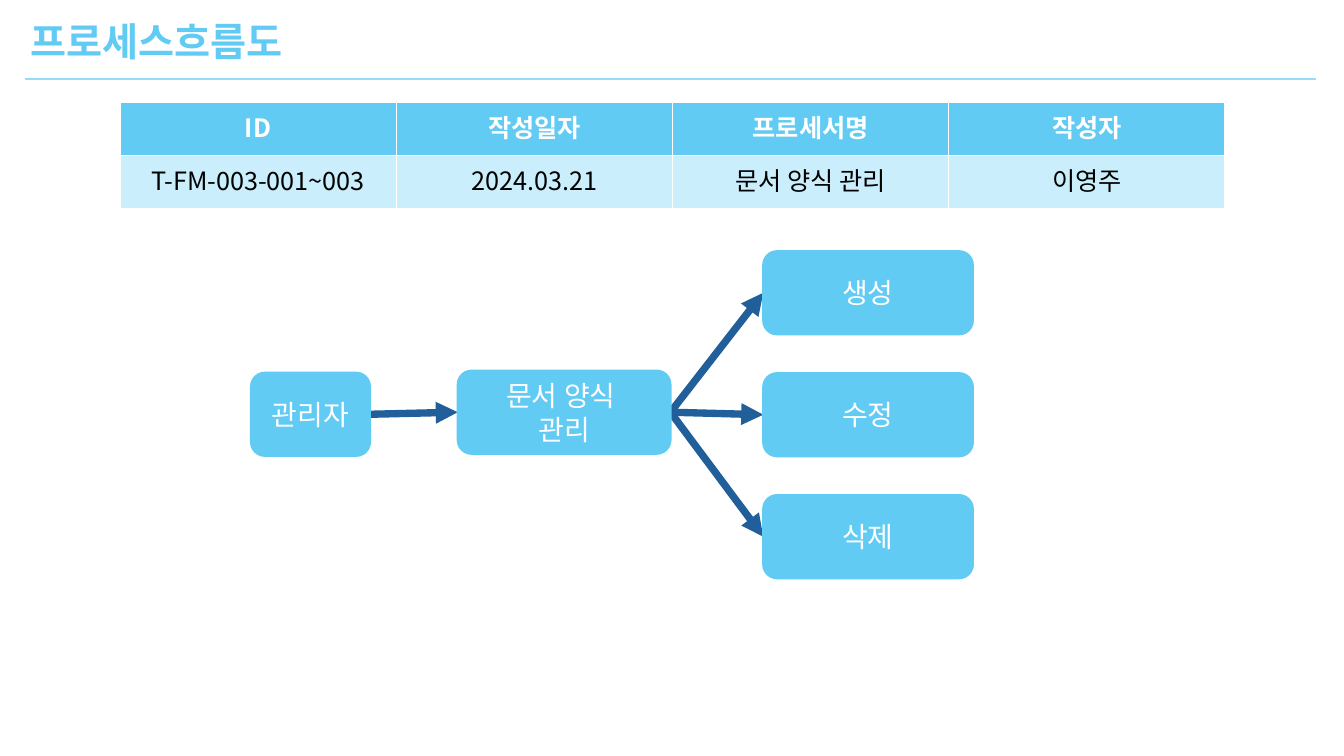
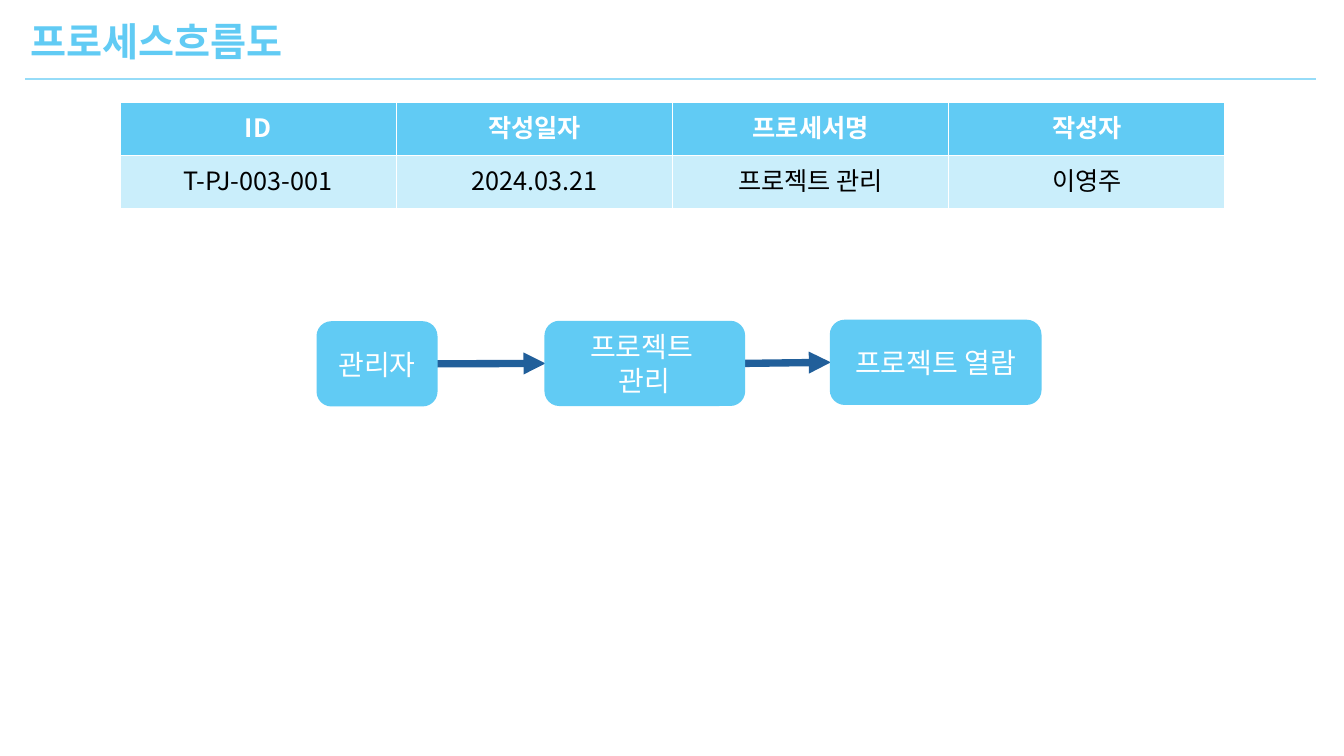
from dataclasses import dataclass

from lxml import etree
from pptx import Presentation
from pptx import util as u
from pptx.dml.color import RGBColor
from pptx.enum import shapes, text
from pptx.oxml import ns

# Shared look
FONT = "Noto Sans CJK KR"
SKY, PALE, RULE, NAVY = "61CBF4", "CAEEFB", "96DCF8", "215F9A"
WHITE, BLACK = "FFFFFF", "000000"
WIDTH, HEIGHT = u.Inches(13.33), u.Inches(7.5)

TITLE = "프로세스흐름도"
HEADINGS = ("ID", "작성일자", "프로세서명", "작성자")
TITLE_STYLE = {"size": u.Pt(28), "bold": True}
HEADING_STYLE = {"size": u.Pt(18), "bold": True}
VALUE_STYLE = {"size": u.Pt(18), "bold": False}
NODE_STYLE = {"size": u.Pt(20), "bold": False}

# Node measures, in percent of the slide's size
NODE_HEIGHT = 11
ACTOR_WIDTH, ACTION_WIDTH = 8.85, 15.6
LEFT_SITE, RIGHT_SITE = 1, 3


@dataclass(frozen=True)
class Node:
    """A rounded box; left, middle and width in percent of the slide."""
    lines: tuple[str, ...]
    left: float
    middle: float
    width: float


@dataclass(frozen=True)
class Flow:
    """One process: its table values, its nodes and the arrows between them."""
    values: tuple[str, ...]
    nodes: tuple[Node, ...]
    arrows: tuple[tuple[int, int], ...]


ACTIONS = ("생성", "수정", "삭제")
FLOWS = (
    Flow(
        ("T-FM-003-001~003", "2024.03.21", "문서 양식 관리", "이영주"),
        (
            Node(("관리자",), 18.68, 54.8, ACTOR_WIDTH),
            Node(("문서 양식 ", "관리"), 34.06, 54.53, 15.83),
            *(Node((action,), 56.79, 38.73 + 16.13 * row, ACTION_WIDTH)
              for row, action in enumerate(ACTIONS)),
        ),
        ((0, 1), (1, 2), (1, 3), (1, 4)),
    ),
    Flow(
        ("T-PJ-003-001", "2024.03.21", "프로젝트 관리", "이영주"),
        (
            Node(("관리자",), 23.63, 48.13, ACTOR_WIDTH),
            Node(("프로젝트 ", "관리"), 40.59, 48.07, 14.78),
            Node(("프로젝트 열람",), 61.82, 47.93, ACTION_WIDTH),
        ),
        ((0, 1), (1, 2)),
    ),
)


def across(percent: float) -> int:
    return round(WIDTH * percent / 100)


def down(percent: float) -> int:
    return round(HEIGHT * percent / 100)


def colour(value: str) -> RGBColor:
    return RGBColor.from_string(value)


def fill(target, value: str) -> None:
    target.fill.solid()
    target.fill.fore_color.rgb = colour(value)


def write(frame, lines: tuple[str, ...], style: dict, ink: str,
          align=text.PP_ALIGN.CENTER) -> None:
    for index, line in enumerate(lines):
        paragraph = frame.paragraphs[0] if index == 0 else frame.add_paragraph()
        paragraph.alignment = align
        run = paragraph.add_run()
        run.text = line
        for name, value in {"name": FONT, **style}.items():
            setattr(run.font, name, value)
        run.font.color.rgb = colour(ink)
        # Korean letters take the East Asian typeface
        east_asian = etree.SubElement(run._r.get_or_add_rPr(), ns.qn("a:ea"))
        east_asian.set("typeface", FONT)


def add_line(slide, ends: tuple[int, int, int, int], value: str, points: float,
             arrow: bool = False):
    line = slide.shapes.add_connector(shapes.MSO_CONNECTOR.STRAIGHT, *ends)
    line.line.color.rgb = colour(value)
    line.line.width = u.Pt(points)
    if arrow:
        tail = etree.SubElement(line.line._get_or_add_ln(), ns.qn("a:tailEnd"))
        tail.set("type", "triangle")
    etree.SubElement(line._element.spPr, ns.qn("a:effectLst"))
    return line


def add_header(slide) -> None:
    add_line(slide, (across(1.88), down(10.4), across(97.9), down(10.4)), RULE, 1.5)
    box = slide.shapes.add_textbox(across(1.5), down(1.6), across(22.13), down(7.6))
    box.text_frame.word_wrap = False
    box.text_frame.auto_size = text.MSO_AUTO_SIZE.SHAPE_TO_FIT_TEXT
    write(box.text_frame, (TITLE,), TITLE_STYLE, SKY, text.PP_ALIGN.LEFT)


def add_summary(slide, values: tuple[str, ...]) -> None:
    table = slide.shapes.add_table(
        2, len(HEADINGS), across(8.93), down(13.6), across(82.22), down(14)).table
    rows = ((HEADINGS, HEADING_STYLE, WHITE, SKY), (values, VALUE_STYLE, BLACK, PALE))
    for row, (words, style, ink, back) in enumerate(rows):
        for column, word in enumerate(words):
            cell = table.cell(row, column)
            fill(cell, back)
            write(cell.text_frame, (word,), style, ink)


def add_node(slide, node: Node):
    shape = slide.shapes.add_shape(
        shapes.MSO_SHAPE.ROUNDED_RECTANGLE, across(node.left),
        down(node.middle - NODE_HEIGHT / 2), across(node.width), down(NODE_HEIGHT))
    shape.shadow.inherit = False
    fill(shape, SKY)
    shape.line.color.rgb = colour(SKY)
    shape.line.width = u.Pt(1.5)
    shape.text_frame.vertical_anchor = text.MSO_ANCHOR.MIDDLE
    write(shape.text_frame, node.lines, NODE_STYLE, WHITE)
    return shape


def add_flow(slide, flow: Flow) -> None:
    # Arrows lie behind the boxes, so they are glued once the boxes exist
    arrows = [add_line(slide, (0, 0, 0, 0), NAVY, 5.25, arrow=True)
              for _ in flow.arrows]
    boxes = [add_node(slide, node) for node in flow.nodes]
    for arrow, (source, target) in zip(arrows, flow.arrows):
        arrow.begin_connect(boxes[source], RIGHT_SITE)
        arrow.end_connect(boxes[target], LEFT_SITE)


def main() -> None:
    presentation = Presentation()
    presentation.slide_width, presentation.slide_height = WIDTH, HEIGHT
    for flow in FLOWS:
        slide = presentation.slides.add_slide(presentation.slide_layouts[6])
        add_header(slide)
        add_summary(slide, flow.values)
        add_flow(slide, flow)
    presentation.save("out.pptx")


if __name__ == "__main__":
    main()
